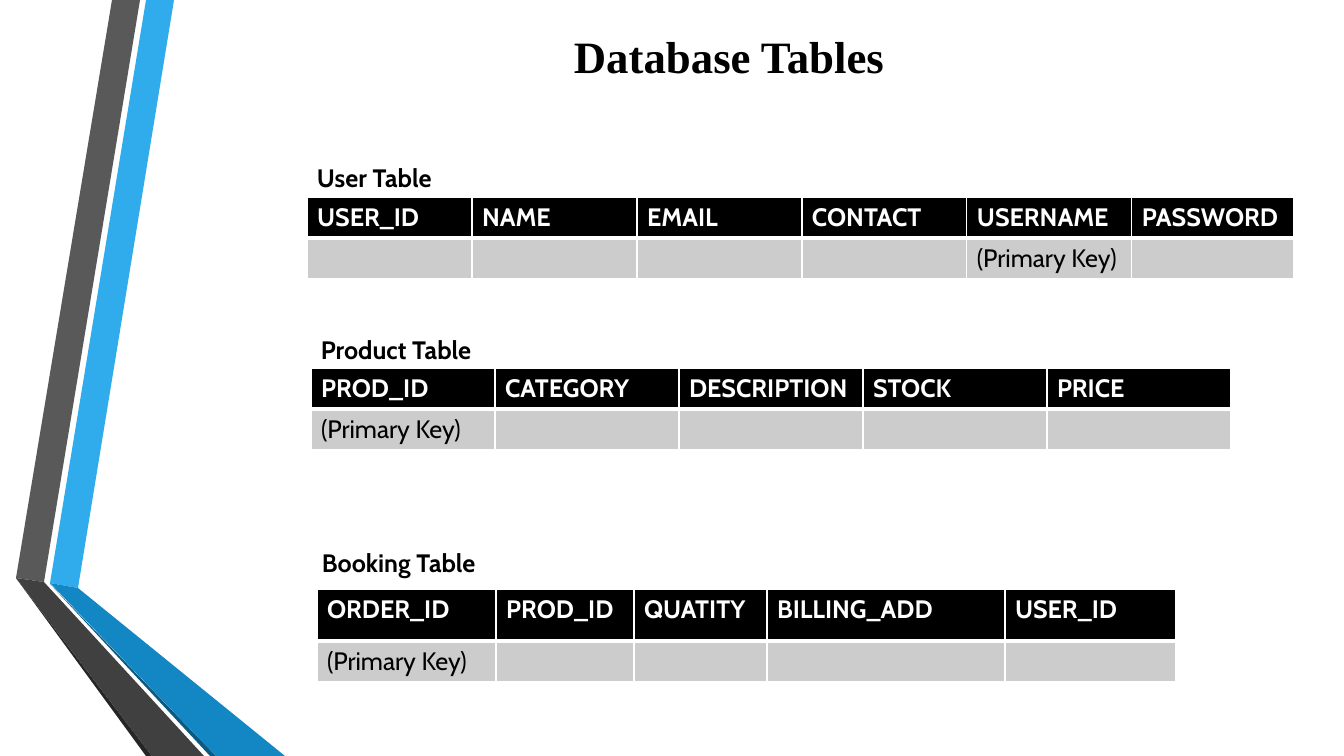
import pptx
import pptx.dml.color
import pptx.oxml
import pptx.oxml.ns
import pptx.util

PX = 914400 / 100.8
COLORS = {
    "white": "FFFFFF", "black": "000000", "cell": "CCCCCC",
    "sky": "30ACEC", "blue": "1287C3", "navy": "0C5A82",
    "gray": "595959", "charcoal": "404040", "shade": "262626",
}
KEY = "(Primary Key)"

# Color and corner points in px, from back to front
RIBBON = [
    ("sky", [(50, 583), (78, 588), (174, 0), (146, 0)]),
    ("gray", [(140, 0), (112, 0), (16, 578), (44, 582)]),
    ("shade", [(16, 578), (146, 756), (152, 756)]),
    ("navy", [(50, 584), (210, 756), (216, 756)]),
    ("blue", [(50, 583), (216, 756), (285, 756), (78, 588)]),
    ("charcoal", [(204, 756), (44, 582), (16, 578), (152, 756)]),
]

# Label, its box, table corner, column widths, row heights, column names, key column
TABLES = [
    ("User Table", (307, 157, 149, 40), (307, 197), [165] * 5 + [162], [41, 41],
     ["USER_ID", "NAME", "EMAIL", "CONTACT", "USERNAME", "PASSWORD"], "USERNAME"),
    ("Product Table", (311, 329, 187, 40), (311, 368), [184] * 5, [41, 41],
     ["PROD_ID", "CATEGORY", "DESCRIPTION", "STOCK", "PRICE"], "PROD_ID"),
    ("Booking Table", (312, 542, 187, 40), (317, 589), [179, 138, 133, 238, 171], [52, 41],
     ["ORDER_ID", "PROD_ID", "QUATITY", "BILLING_ADD", "USER_ID"], "ORDER_ID"),
]


def px(n):
    return pptx.util.Emu(round(n * PX))


def rgb(name):
    return pptx.dml.color.RGBColor.from_string(COLORS[name])


def write(tf, text, size=18, font="Cabin", color="black", bold=True):
    r = tf.paragraphs[0].add_run()
    r.text = text
    r.font.size = pptx.util.Pt(size)
    r.font.name = font
    r.font.bold = bold
    r.font.color.rgb = rgb(color)


def add_text(s, box, text, **fmt):
    tf = s.shapes.add_textbox(*map(px, box)).text_frame
    tf.word_wrap = True
    write(tf, text, **fmt)


def set_borders(cell, **widths):
    """Draw white cell borders; widths are points by side, in the order L, R, T, B."""
    tcPr = cell._tc.get_or_add_tcPr()
    for i, (side, width) in enumerate(widths.items()):
        tcPr.insert(i, pptx.oxml.parse_xml(
            f'<a:ln{side} {pptx.oxml.ns.nsdecls("a")} w="{pptx.util.Pt(width)}">'
            f'<a:solidFill><a:srgbClr val="{COLORS["white"]}"/></a:solidFill></a:ln{side}>'))


def fill_cell(cell, color, top, bottom):
    cell.fill.solid()
    cell.fill.fore_color.rgb = rgb(color)
    set_borders(cell, L=1, R=1, T=top, B=bottom)


def add_ribbon(s):
    for color, (start, *rest) in RIBBON:
        builder = s.shapes.build_freeform(*start, scale=PX)
        builder.add_line_segments(rest, close=True)
        sp = builder.convert_to_shape()
        sp.shadow.inherit = False
        sp.fill.solid()
        sp.fill.fore_color.rgb = rgb(color)
        sp.line.fill.background()


def add_schema(s, label, label_box, corner, widths, heights, names, key):
    add_text(s, label_box, label)
    box = (*corner, sum(widths), sum(heights))
    table = s.shapes.add_table(2, len(names), *map(px, box)).table
    for row, height in zip(table.rows, heights):
        row.height = px(height)
    for i, (name, width) in enumerate(zip(names, widths)):
        table.columns[i].width = px(width)
        head, body = table.cell(0, i), table.cell(1, i)
        fill_cell(head, "black", top=1, bottom=3)
        fill_cell(body, "cell", top=3, bottom=1)
        write(head.text_frame, name, color="white")
        if name == key:
            write(body.text_frame, KEY, bold=False)


def main():
    prs = pptx.Presentation()
    prs.slide_width, prs.slide_height = px(1344), px(756)
    s = prs.slides.add_slide(prs.slide_layouts[6])
    add_ribbon(s)
    for schema in TABLES:
        add_schema(s, *schema)
    add_text(s, (564, 24, 422, 65), "Database Tables", size=32, font="Times New Roman")
    prs.save("out.pptx")


if __name__ == "__main__":
    main()
